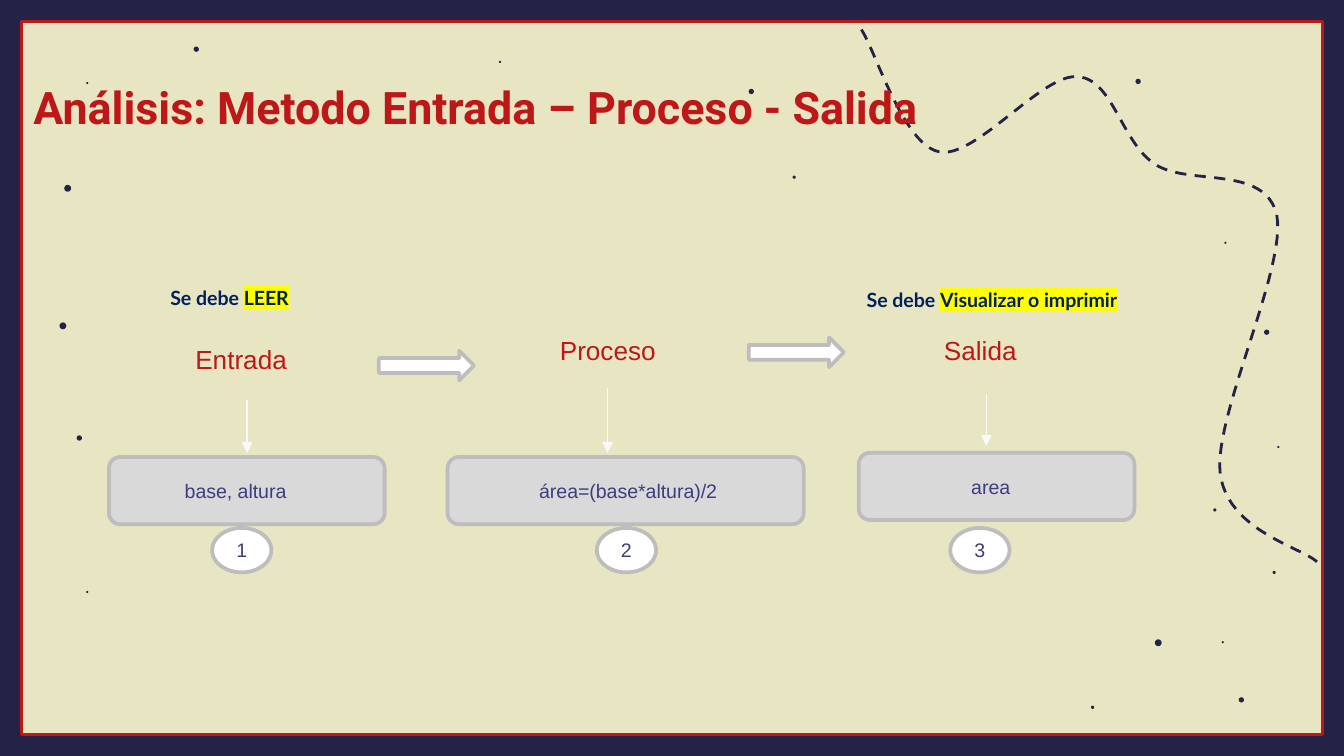
from dataclasses import dataclass

import pptx
import pptx.dml.color
import pptx.enum.dml
import pptx.enum.shapes
import pptx.enum.text
import pptx.oxml
import pptx.oxml.ns
import pptx.util

Cm, Pt = pptx.util.Cm, pptx.util.Pt
RGBColor = pptx.dml.color.RGBColor
SHAPE = pptx.enum.shapes.MSO_SHAPE
ANCHOR = pptx.enum.text.MSO_ANCHOR
ALIGN = pptx.enum.text.PP_ALIGN

NAVY = RGBColor(0x23, 0x23, 0x47)
RED = RGBColor(0xBD, 0x17, 0x17)
CREAM = RGBColor(0xE8, 0xE5, 0xC3)
WHITE = RGBColor(0xFF, 0xFF, 0xFF)
OFF_WHITE = RGBColor(0xF9, 0xF9, 0xF9)
SILVER = RGBColor(0xD9, 0xD9, 0xD9)
GRAY = RGBColor(0xBD, 0xBD, 0xBD)
INDIGO = RGBColor(0x3D, 0x3D, 0x7F)
DARK_BLUE = RGBColor(0x00, 0x20, 0x60)
YELLOW = RGBColor(0xFF, 0xFF, 0x00)

WIDTH, HEIGHT, BORDER = 25.4, 14.29, 0.41
INSET = 0.25


@dataclass
class Step:
    label: str
    label_at: tuple[float, float]
    detail: str
    box: tuple[float, float, float]  # left, top, width
    shift: float  # how far the detail sits left of the box centre
    arrow: tuple[float, float, float]  # x, top, bottom
    badge_left: float


@dataclass
class Note:
    marked: str
    left: float
    top: float
    width: float


STEPS = [
    Step("Entrada", (2.06, 5.56), "base, altura", (2.06, 8.64, 5.21), 0.21,
         (4.67, 7.57, 8.56), 4.01),
    Step("Proceso", (8.99, 5.38), "área=(base*altura)/2", (8.46, 8.64, 6.73), -0.05,
         (11.48, 7.34, 8.56), 11.28),
    Step("Salida", (16.03, 5.38), "area", (16.23, 8.56, 5.21), 0.11,
         (18.64, 7.44, 8.43), 17.96),
]
BLOCK_ARROWS = [(7.16, 6.63), (14.15, 6.38)]
NOTES = [Note("LEER", 2.97, 5.28, 3.3), Note("Visualizar o imprimir", 16.13, 5.31, 6.71)]

# Dot centres by diameter
DOTS = {
    0.13: [(21.89, 12.15), (1.28, 3.56), (1.19, 6.16)],
    0.1: [(14.2, 1.73), (23.46, 13.23), (23.94, 6.28), (1.5, 8.28), (21.51, 1.54), (3.71, 0.93)],
    0.06: [(22.96, 9.64), (15.01, 3.35), (24.08, 10.82), (20.65, 13.37)],
    0.04: [(23.11, 12.14), (23.16, 4.59), (9.45, 1.17), (1.65, 11.19), (24.16, 8.45), (1.65, 1.57)],
}

# Start point, then two controls and an end point for each cubic segment
TRAIL = [
    (16.28, 0.56),
    (16.54, 0.94), (17.07, 2.74), (17.75, 2.87),
    (18.42, 3.02), (19.69, 1.4), (20.35, 1.45),
    (21.03, 1.47), (21.18, 2.67), (21.82, 3.1),
    (22.45, 3.53), (23.9, 3.1), (24.13, 4.06),
    (24.33, 5.05), (22.94, 7.85), (23.06, 8.94),
    (23.19, 10.03), (24.59, 10.34), (24.89, 10.62),
]


def add_shape(s, kind, left: float, top: float, width: float, height: float,
              fill: RGBColor | None = None, line: RGBColor | None = None, weight: float = 2):
    sp = s.shapes.add_shape(kind, Cm(left), Cm(top), Cm(width), Cm(height))
    sp.shadow.inherit = False
    if fill is None:
        sp.fill.background()
    else:
        sp.fill.solid()
        sp.fill.fore_color.rgb = fill
    if line is None:
        sp.line.fill.background()
    else:
        sp.line.color.rgb = line
        sp.line.width = Pt(weight)
    return sp


def set_font(p, name: str, size: float, color: RGBColor, bold: bool = False) -> None:
    p.font.name, p.font.size, p.font.bold = name, Pt(size), bold
    p.font.color.rgb = color


def write_centred(sp, text: str, size: float, color: RGBColor, shift: float = 0) -> None:
    tf = sp.text_frame
    tf.word_wrap = True
    tf.vertical_anchor = ANCHOR.MIDDLE
    tf.margin_right = Cm(INSET + 2 * shift)
    p = tf.paragraphs[0]
    p.text, p.alignment = text, ALIGN.CENTER
    set_font(p, "Arial", size, color)


def add_textbox(s, left: float, top: float, width: float, height: float):
    tf = s.shapes.add_textbox(Cm(left), Cm(top), Cm(width), Cm(height)).text_frame
    tf.word_wrap = True
    return tf


def add_frame(s) -> None:
    for top in (0, HEIGHT - BORDER):
        add_shape(s, SHAPE.RECTANGLE, 0, top, WIDTH, BORDER, NAVY)
    for left in (0, WIDTH - BORDER):
        add_shape(s, SHAPE.RECTANGLE, left, 0, BORDER, HEIGHT, NAVY)
    add_shape(s, SHAPE.RECTANGLE, BORDER, BORDER, WIDTH - 2 * BORDER, HEIGHT - 2 * BORDER,
              line=RED, weight=1.5)


def bezier(p0, p1, p2, p3, t: float) -> tuple[int, int]:
    u = 1 - t
    return tuple(Cm(u**3 * a + 3 * u * u * t * b + 3 * u * t * t * c + t**3 * d)
                 for a, b, c, d in zip(p0, p1, p2, p3))


def add_trail(s, steps: int = 24) -> None:
    """Draw the dashed curve as short straight pieces."""
    points = [bezier(*TRAIL[i:i + 4], k / steps)
              for i in range(0, len(TRAIL) - 1, 3) for k in range(1, steps + 1)]
    x, y = TRAIL[0]
    builder = s.shapes.build_freeform(Cm(x), Cm(y))
    builder.add_line_segments(points, close=False)
    sp = builder.convert_to_shape()
    sp.shadow.inherit = False
    sp.fill.background()
    sp.line.color.rgb = NAVY
    sp.line.width = Pt(1.5)
    sp.line.dash_style = pptx.enum.dml.MSO_LINE.DASH


def add_arrow(s, x: float, top: float, bottom: float) -> None:
    line = s.shapes.add_connector(pptx.enum.shapes.MSO_CONNECTOR.STRAIGHT,
                                  Cm(x), Cm(top), Cm(x), Cm(bottom))
    line.line.color.rgb = OFF_WHITE
    line.line.width = Pt(0.75)
    qn, sub = pptx.oxml.ns.qn, pptx.oxml.xmlchemy.OxmlElement
    tail = sub("a:tailEnd")
    tail.set("type", "triangle")
    line.line._get_or_add_ln().append(tail)
    line._element.find(qn("p:spPr")).append(sub("a:effectLst"))


def add_note(s, note: Note) -> None:
    p = add_textbox(s, note.left, note.top, note.width, 0.71).paragraphs[0]
    set_font(p, "Lato", 10.5, DARK_BLUE, bold=True)
    p.add_run().text = "Se debe "
    r = p.add_run()
    r.text = note.marked
    r._r.get_or_add_rPr().append(pptx.oxml.parse_xml(
        f'<a:highlight {pptx.oxml.ns.nsdecls("a")}><a:srgbClr val="{YELLOW}"/></a:highlight>'))


def add_title(s, text: str) -> None:
    tf = add_textbox(s, -1.52, 0.66, 21.01, 2.11)
    tf.margin_top = tf.margin_bottom = Cm(INSET)
    tf.vertical_anchor = ANCHOR.BOTTOM
    p = tf.paragraphs[0]
    p.text, p.alignment = text, ALIGN.CENTER
    set_font(p, "Roboto", 24, RED, bold=True)


def main() -> None:
    prs = pptx.Presentation()
    prs.slide_width, prs.slide_height = Cm(WIDTH), Cm(HEIGHT)
    s = prs.slides.add_slide(prs.slide_layouts[6])
    s.background.fill.solid()
    s.background.fill.fore_color.rgb = CREAM

    add_frame(s)
    add_trail(s)
    for size, centres in DOTS.items():
        for x, y in centres:
            add_shape(s, SHAPE.OVAL, x - size / 2, y - size / 2, size, size, NAVY)

    for step in STEPS:
        sp = add_shape(s, SHAPE.OVAL, *step.label_at, 5, 2.46, CREAM, CREAM)
        write_centred(sp, step.label, 14, RED)
    for left, top in BLOCK_ARROWS:
        add_shape(s, SHAPE.RIGHT_ARROW, left, top, 1.8, 0.56, WHITE, GRAY)
    for number, step in enumerate(STEPS, 1):
        sp = add_shape(s, SHAPE.ROUNDED_RECTANGLE, *step.box, 1.27, SILVER, GRAY)
        write_centred(sp, step.detail, 10.5, INDIGO, step.shift)
        add_arrow(s, *step.arrow)
        sp = add_shape(s, SHAPE.OVAL, step.badge_left, 9.98, 1.12, 0.84, WHITE, GRAY)
        write_centred(sp, str(number), 10.5, INDIGO)
    for note in NOTES:
        add_note(s, note)
    add_title(s, "Análisis: Metodo Entrada – Proceso - Salida")
    prs.save("out.pptx")


if __name__ == "__main__":
    main()
